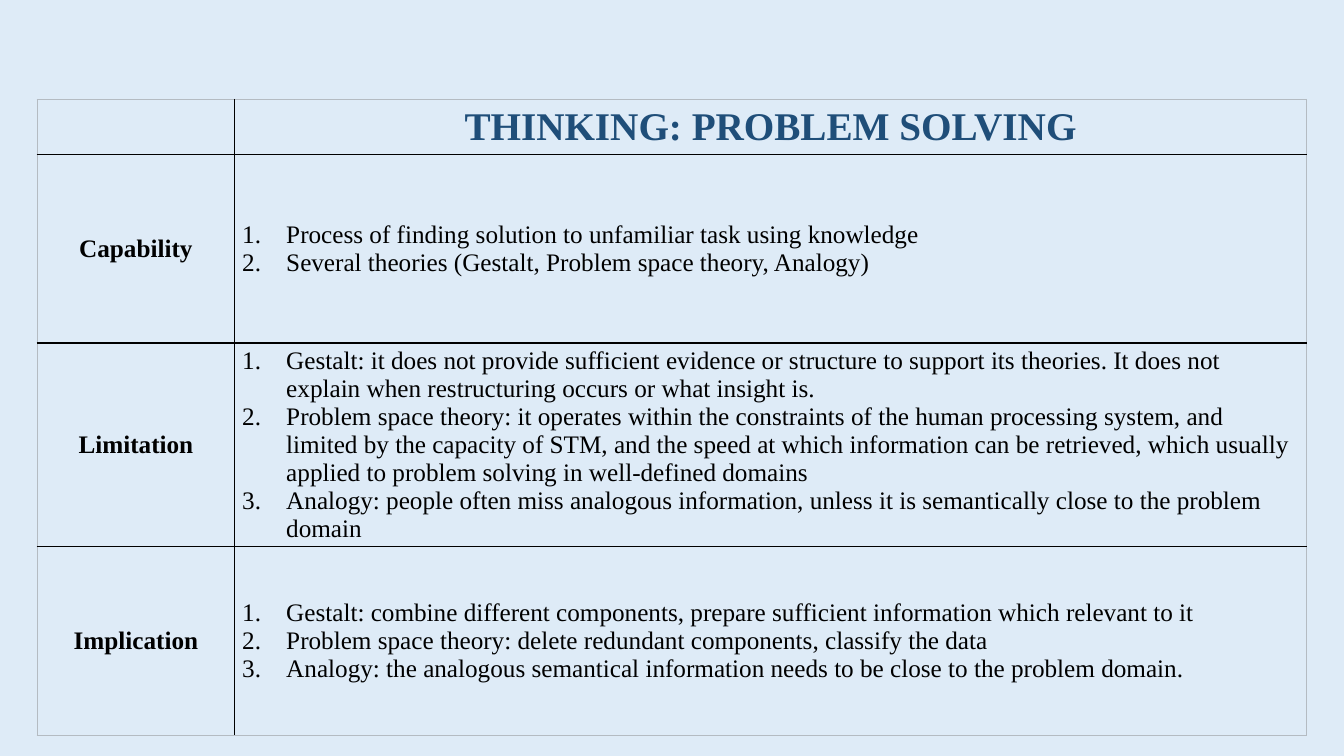
from lxml.etree import SubElement
from pptx import Presentation
from pptx.dml.color import RGBColor as Color
from pptx.enum.text import MSO_ANCHOR as Anchor, PP_ALIGN as Align
from pptx.oxml.ns import qn
from pptx.util import Pt

# Content
TITLE = "THINKING: PROBLEM SOLVING"
ASPECTS = [
    ("Capability", [
        "Process of finding solution to unfamiliar task using knowledge",
        "Several theories (Gestalt, Problem space theory, Analogy)",
    ]),
    ("Limitation", [
        "Gestalt: it does not provide sufficient evidence or structure to support its "
        "theories. It does not explain when restructuring occurs or what insight is.",
        "Problem space theory: it operates within the constraints of the human processing "
        "system, and limited by the capacity of STM, and the speed at which information can "
        "be retrieved, which usually applied to problem solving in well-defined domains",
        "Analogy: people often miss analogous information, unless it is semantically close "
        "to the problem domain",
    ]),
    ("Implication", [
        "Gestalt: combine different components, prepare sufficient information which "
        "relevant to it",
        "Problem space theory: delete redundant components, classify the data",
        "Analogy: the analogous semantical information needs to be close to the problem "
        "domain.",
    ]),
]

# Formats
COLORS = {"background": "DEEBF7", "title": "1F4E79", "text": "000000",
          "inner": "000000", "outer": "B4BBC2"}
FONT = "Times New Roman"
TITLE_FONT = {"name": FONT, "size": Pt(28), "bold": True}
LABEL_FONT = {"name": FONT, "size": Pt(18), "bold": True}
ITEM_FONT = {"name": FONT, "size": Pt(18), "bold": False}
CELL_FORMAT = {"vertical_anchor": Anchor.MIDDLE, "margin_left": Pt(5.4),
               "margin_right": Pt(5.4), "margin_top": Pt(2.88), "margin_bottom": Pt(2.88)}
LEFT, TOP = 26.6, 71.1
COLUMN_WIDTHS = [141, 765.5]
ROW_HEIGHTS = [39, 135, 145, 135]
INDENT = Pt(31.5)


def write(paragraph, text, font_format, color):
    run = paragraph.add_run()
    run.text = text
    for name, value in font_format.items():
        setattr(run.font, name, value)
    run.font.color.rgb = Color.from_string(COLORS[color])


def number(paragraph):
    properties = paragraph._p.get_or_add_pPr()
    properties.set("marL", str(INDENT))
    properties.set("indent", str(-INDENT))
    SubElement(properties, qn("a:buFont"), typeface="+mj-lt")
    SubElement(properties, qn("a:buAutoNum"), type="arabicPeriod")


def draw_borders(cell, row, column):
    on_edge = {"a:lnL": column == 0, "a:lnR": column == len(COLUMN_WIDTHS) - 1,
               "a:lnT": row == 0, "a:lnB": row == len(ROW_HEIGHTS) - 1}
    properties = cell._tc.get_or_add_tcPr()
    for side, outer in on_edge.items():
        line = SubElement(properties, qn(side), w=str(Pt(1)))
        fill = SubElement(line, qn("a:solidFill"))
        SubElement(fill, qn("a:srgbClr"), val=COLORS["outer" if outer else "inner"])


# Slide
presentation = Presentation()
presentation.slide_width, presentation.slide_height = Pt(960), Pt(540)
slide = presentation.slides.add_slide(presentation.slide_layouts[6])
slide.background.fill.solid()
slide.background.fill.fore_color.rgb = Color.from_string(COLORS["background"])

# Table grid
table = slide.shapes.add_table(
    len(ROW_HEIGHTS), len(COLUMN_WIDTHS), Pt(LEFT), Pt(TOP),
    Pt(sum(COLUMN_WIDTHS)), Pt(sum(ROW_HEIGHTS))).table
table.first_row = table.horz_banding = False
for column, width in zip(table.columns, COLUMN_WIDTHS):
    column.width = Pt(width)
for row, height in zip(table.rows, ROW_HEIGHTS):
    row.height = Pt(height)
for row in range(len(ROW_HEIGHTS)):
    for column in range(len(COLUMN_WIDTHS)):
        cell = table.cell(row, column)
        for name, value in CELL_FORMAT.items():
            setattr(cell, name, value)
        draw_borders(cell, row, column)
        cell.fill.background()

# Heading
heading = table.cell(0, 1).text_frame.paragraphs[0]
heading.alignment = Align.CENTER
write(heading, TITLE, TITLE_FONT, "title")

# Labels and numbered points
for row, (label, points) in enumerate(ASPECTS, start=1):
    paragraph = table.cell(row, 0).text_frame.paragraphs[0]
    paragraph.alignment = Align.CENTER
    write(paragraph, label, LABEL_FONT, "text")
    frame = table.cell(row, 1).text_frame
    for index, point in enumerate(points):
        paragraph = frame.add_paragraph() if index else frame.paragraphs[0]
        number(paragraph)
        write(paragraph, point, ITEM_FONT, "text")

presentation.save("out.pptx")
